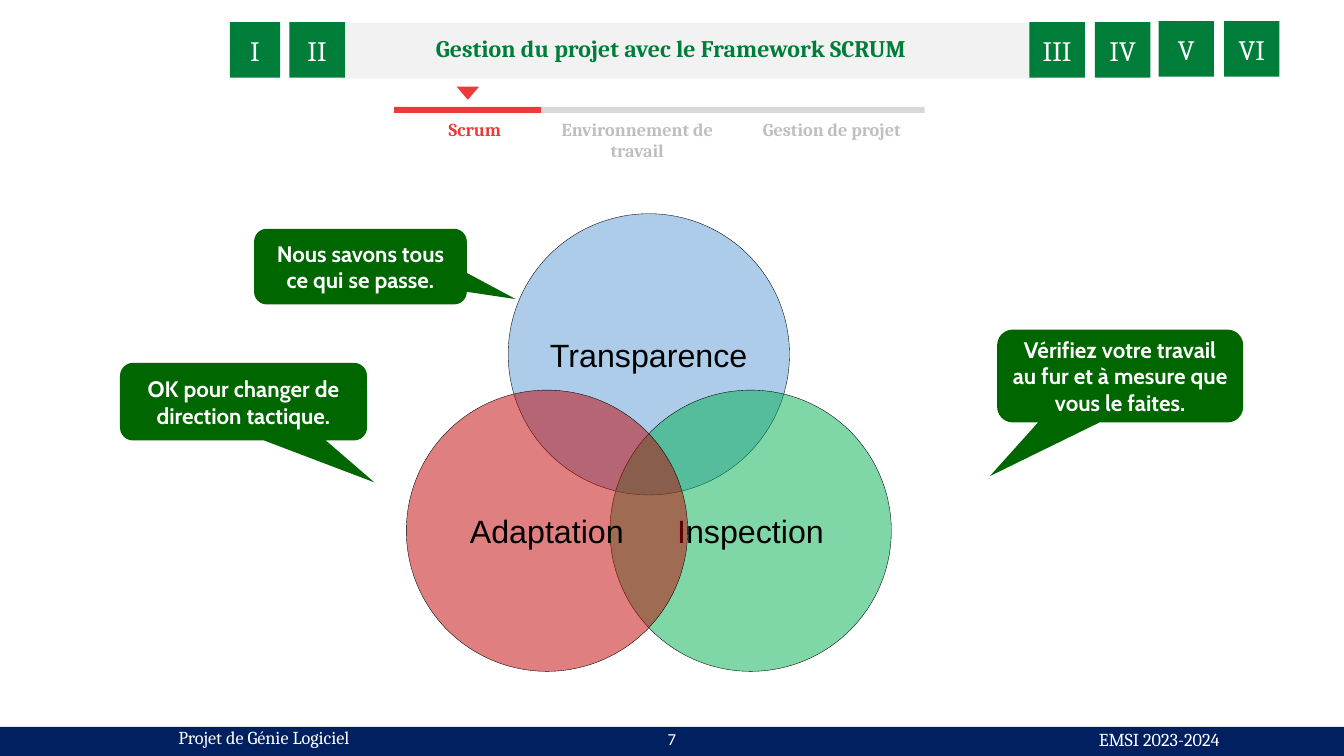
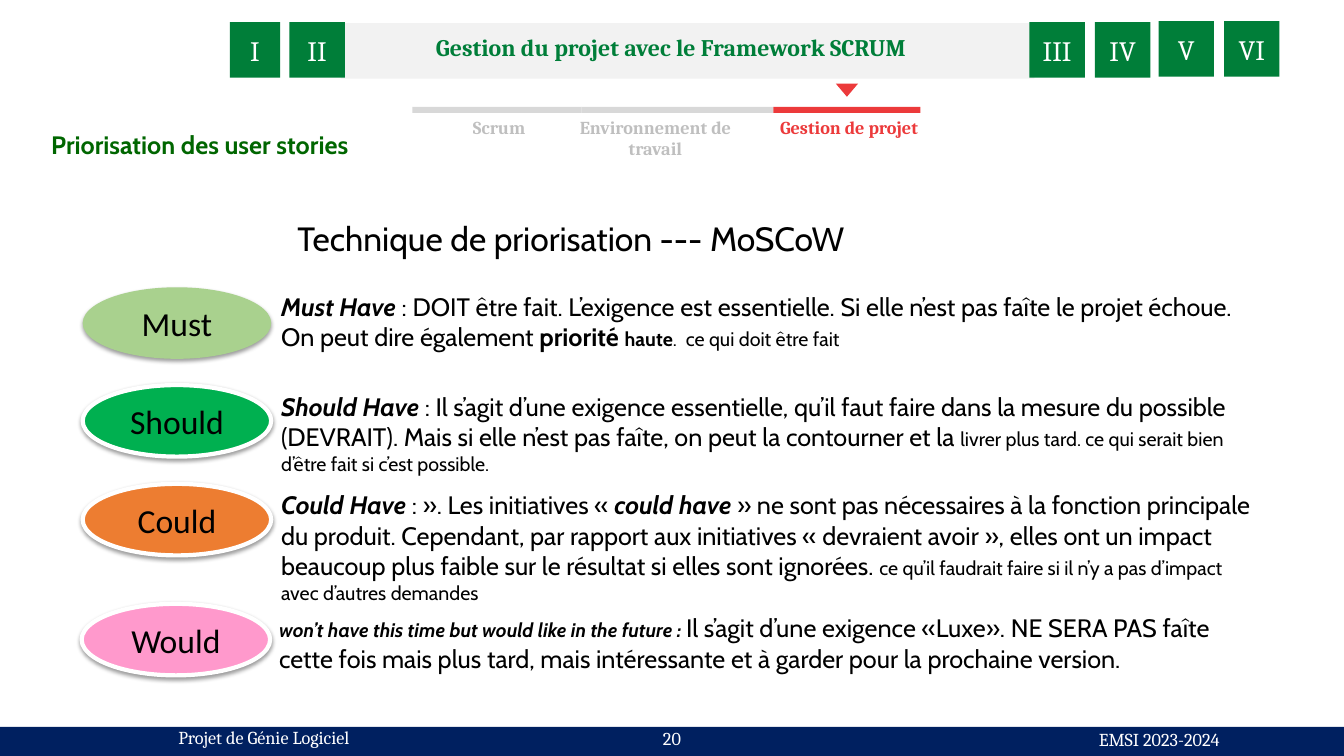
"""Build two slides of a Scrum course: the three pillars and MoSCoW prioritisation."""
from lxml import etree
from pptx import Presentation
from pptx.dml.color import RGBColor
from pptx.enum.shapes import MSO_SHAPE
from pptx.enum.text import MSO_ANCHOR, PP_ALIGN
from pptx.oxml.ns import qn
from pptx.util import Inches, Pt

RECTANGLE, OVAL = MSO_SHAPE.RECTANGLE, MSO_SHAPE.OVAL
TRIANGLE, CALLOUT = MSO_SHAPE.ISOSCELES_TRIANGLE, MSO_SHAPE.ROUNDED_RECTANGULAR_CALLOUT
LEFT, CENTER = PP_ALIGN.LEFT, PP_ALIGN.CENTER
TOP, MIDDLE = MSO_ANCHOR.TOP, MSO_ANCHOR.MIDDLE

GREEN, DARK_GREEN, NAVY, RED = "007E39", "006600", "002060", "EC3A3B"
WHITE, BLACK, BAND_GREY, BAR_GREY, LABEL_GREY = "FFFFFF", "000000", "F2F2F2", "D8D8D8", "BFBFBF"

HEADING = {"name": "Cambria", "size": 17, "bold": True, "color": GREEN}
CHAPTER = {"name": "Cambria", "size": 20, "color": WHITE}
FOOTER = {"name": "Cambria", "size": 13, "color": WHITE}
STEP = {"name": "Cambria", "size": 13, "bold": True}
PILLAR = {"name": "Arial", "size": 23, "color": BLACK}
REMARK = {"name": "Cabin", "size": 16, "bold": True, "color": WHITE}
SUBJECT = {"name": "Cabin", "size": 18, "bold": True, "color": DARK_GREEN}
TITLE = {"name": "Cabin", "size": 24, "bold": False, "color": BLACK}
BODY = {"name": "Cabin", "size": 18, "color": BLACK}
PRIORITY = {"name": "Calibri", "size": 24, "color": BLACK}
TERM = {"bold": True, "italic": True}
SMALL = {"size": 14}


def add_box(slide, at, kind=None, fill=None, line=None, line_width=0):
    """Add a text box, or a preset shape when a kind is given."""
    place = [Inches(length) for length in at]
    if kind is None:
        return slide.shapes.add_textbox(*place)
    shape = slide.shapes.add_shape(kind, *place)
    shape.shadow.inherit = False
    shape.fill.solid()
    shape.fill.fore_color.rgb = RGBColor.from_string(fill)
    if line:
        shape.line.color.rgb = RGBColor.from_string(line)
        shape.line.width = Pt(line_width)
    else:
        shape.line.fill.background()
    return shape


def write(shape, runs, style, align=CENTER, anchor=MIDDLE, spacing=None, **frame_format):
    """Fill a shape with one paragraph of (text, format changes) runs."""
    frame = shape.text_frame
    frame_format = {"word_wrap": True, "vertical_anchor": anchor, **frame_format}
    for name, value in frame_format.items():
        setattr(frame, name, value)
    paragraph = frame.paragraphs[0]
    paragraph.alignment = align
    paragraph.line_spacing = spacing
    for text, changes in runs:
        run = paragraph.add_run()
        run.text = text
        for name, value in {**style, **changes}.items():
            if name == "color":
                run.font.color.rgb = RGBColor.from_string(value)
            else:
                setattr(run.font, name, Pt(value) if name == "size" else value)


presentation = Presentation()
presentation.slide_width = Inches(13.33)
presentation.slide_height = Inches(7.5)
title_only = presentation.slide_layouts[5]

chapters = [("I", 2.28, 0.22, 0.5), ("II", 2.87, 0.22, 0.55), ("III", 10.21, 0.22, 0.55),
            ("IV", 10.86, 0.22, 0.55), ("V", 11.49, 0.21, 0.55), ("VI", 12.14, 0.21, 0.55)]
steps = [("Scrum", 1.68, 0.32), ("Environnement de travail", 1.9, 0.54),
         ("Gestion de projet", 1.86, 0.32)]
pages = [
    {"number": "7", "number_style": {**FOOTER, "name": "Calibri", "size": 12}, "active": 0,
     "bar_left": 3.91, "bar_widths": (1.46, 1.9, 1.9), "arrow_top": 0.86,
     "label_lefts": (3.87, 5.37, 7.32), "label_top": 1.12},
    {"number": "20", "number_style": FOOTER, "active": 2,
     "bar_left": 4.09, "bar_widths": (1.68, 1.9, 1.46), "arrow_top": 0.83,
     "label_lefts": (4.11, 5.55, 7.49), "label_top": 1.1},
]

for page in pages:
    slide = presentation.slides.add_slide(title_only)
    add_box(slide, (0, 7.21, 13.33, 0.29), RECTANGLE, NAVY)
    write(add_box(slide, (1.67, 7.16, 2.2, 0.32)), [("Projet de Génie Logiciel", {})],
          FOOTER, LEFT, TOP)
    write(add_box(slide, (4.98, 7.18, 3.37, 0.29)), [(page["number"], {})], page["number_style"])
    write(add_box(slide, (10.8, 7.18, 1.93, 0.32)), [("EMSI 2023-2024", {})], FOOTER, LEFT, TOP)

    bar_left = page["bar_left"]
    for index, (label, width, height) in enumerate(steps):
        active = index == page["active"]
        bar_width = page["bar_widths"][index]
        add_box(slide, (bar_left, 1.06, bar_width, 0.06), RECTANGLE, RED if active else BAR_GREY)
        if active:
            arrow_left = bar_left + bar_width / 2 - 0.11
            arrow = add_box(slide, (arrow_left, page["arrow_top"], 0.22, 0.13), TRIANGLE, RED)
            arrow.rotation = 180
        label_box = add_box(slide, (page["label_lefts"][index], page["label_top"], width, height))
        write(label_box, [(label, {"color": RED if active else LABEL_GREY})], STEP, anchor=TOP)
        bar_left += bar_width

    band = add_box(slide, (3.38, 0.23, 6.88, 0.55), RECTANGLE, BAND_GREY)
    if page is pages[0]:
        heading = slide.shapes.title
        heading.left, heading.top = Inches(3.43), Inches(0.28)
        heading.width, heading.height = Inches(6.45), Inches(0.39)
        band.element.addnext(heading.element)
    else:
        heading = add_box(slide, (3.43, 0.28, 6.45, 0.39))
    write(heading, [("Gestion du projet avec le Framework SCRUM", {})], HEADING, anchor=TOP)
    for numeral, left, top, width in chapters:
        write(add_box(slide, (left, top, width, 0.55), RECTANGLE, GREEN), [(numeral, {})], CHAPTER)

pillars_slide, priorities_slide = presentation.slides

pillars = [("Transparence", 5.04, 2.12, "5B9BD5"), ("Inspection", 6.05, 3.87, "00B050"),
           ("Adaptation", 4.03, 3.87, "C00000")]
for name, left, top, color in pillars:
    circle = add_box(pillars_slide, (left, top, 2.79, 2.79), OVAL, color, BLACK, 0.25)
    fill_color = circle.element.spPr.find(qn("a:solidFill")).find(qn("a:srgbClr"))
    etree.SubElement(fill_color, qn("a:alpha"), val="50000")
    write(circle, [(name, {})], PILLAR, word_wrap=False, margin_left=0, margin_right=0)

remarks = [
    ("Nous savons tous ce qui se passe.", (2.52, 2.27, 2.11, 0.75), (0.73, 0.43)),
    ("OK pour changer de direction tactique.", (1.19, 3.6, 2.45, 0.77), (0.53, 1.04)),
    ("Vérifiez votre travail au fur et à mesure que vous le faites.",
     (9.89, 3.27, 2.44, 0.92), (-0.53, 1.08)),
]
for text, at, tip in remarks:
    callout = add_box(pillars_slide, at, CALLOUT, DARK_GREEN)
    callout.adjustments[0], callout.adjustments[1] = tip
    write(callout, [(text, {})], REMARK)

write(add_box(priorities_slide, (0.41, 1.27, 4, 0.4)), [("Priorisation des user stories", {})],
      SUBJECT, LEFT, TOP, 0.9)
title = priorities_slide.shapes.title
title.left, title.top, title.width, title.height = Inches(2.85), Inches(2.04), Inches(10), Inches(0.7)
write(title, [("Technique de priorisation --- MoSCoW", {})], TITLE, LEFT, spacing=0.9)

priorities = [
    ("Must", "A9D18E", (0.82, 2.85), (2.69, 2.84), 0.71, [
        ("Must Have", TERM),
        (" : DOIT être fait. L’exigence est essentielle. Si elle n’est pas faîte le projet "
         "échoue. On peut dire également ", {}),
        ("priorité ", {"bold": True}),
        ("haute", {"bold": True, **SMALL}),
        (".  ce qui doit être fait", SMALL)]),
    ("Should", "00B050", (0.82, 3.82), (2.69, 3.83), 1.01, [
        ("Should Have", TERM),
        (" : Il s’agit d’une exigence essentielle, qu’il faut faire dans la mesure du possible "
         "(DEVRAIT). Mais si elle n’est pas faîte, on peut la contourner et la ", {}),
        ("livrer plus tard. ce qui serait bien d’être fait si c’est possible.", SMALL)]),
    ("Could", "ED7D31", (0.82, 4.8), (2.69, 4.81), 1.31, [
        ("Could Have", TERM),
        (" : ». Les initiatives « ", {}),
        ("could have", TERM),
        (" » ne sont pas nécessaires à la fonction principale du produit. Cependant, par rapport "
         "aux initiatives « devraient avoir », elles ont un impact beaucoup plus faible sur le "
         "résultat si elles sont ignorées. ", {}),
        ("ce qu’il faudrait faire si il n’y a pas d’impact avec d’autres demandes", SMALL)]),
    ("Would", "FF99CC", (0.81, 5.99), (2.67, 6.03), 0.71, [
        ("won’t have this time but would like in the future : ", {**TERM, **SMALL}),
        ("Il s’agit d’une exigence «Luxe». NE SERA PAS faîte cette fois mais plus tard, mais "
         "intéressante et à garder pour la prochaine version.", {})]),
]
for name, color, oval_place, text_place, text_height, runs in priorities:
    write(add_box(priorities_slide, (*text_place, 9.84, text_height)), runs, BODY, LEFT, TOP)
    outline = None if name == "Must" else WHITE
    oval = add_box(priorities_slide, (*oval_place, 1.87, 0.71), OVAL, color, outline, 3)
    effects = oval.element.spPr.find(qn("a:effectLst"))
    shadow = etree.SubElement(effects, qn("a:outerShdw"), blurRad=str(Pt(3.1)),
                              dist=str(Pt(1.7)), dir="5400000", rotWithShape="0")
    shadow_color = etree.SubElement(shadow, qn("a:srgbClr"), val=BLACK)
    etree.SubElement(shadow_color, qn("a:alpha"), val="38000")
    write(oval, [(name, {})], PRIORITY)

presentation.save("out.pptx")
